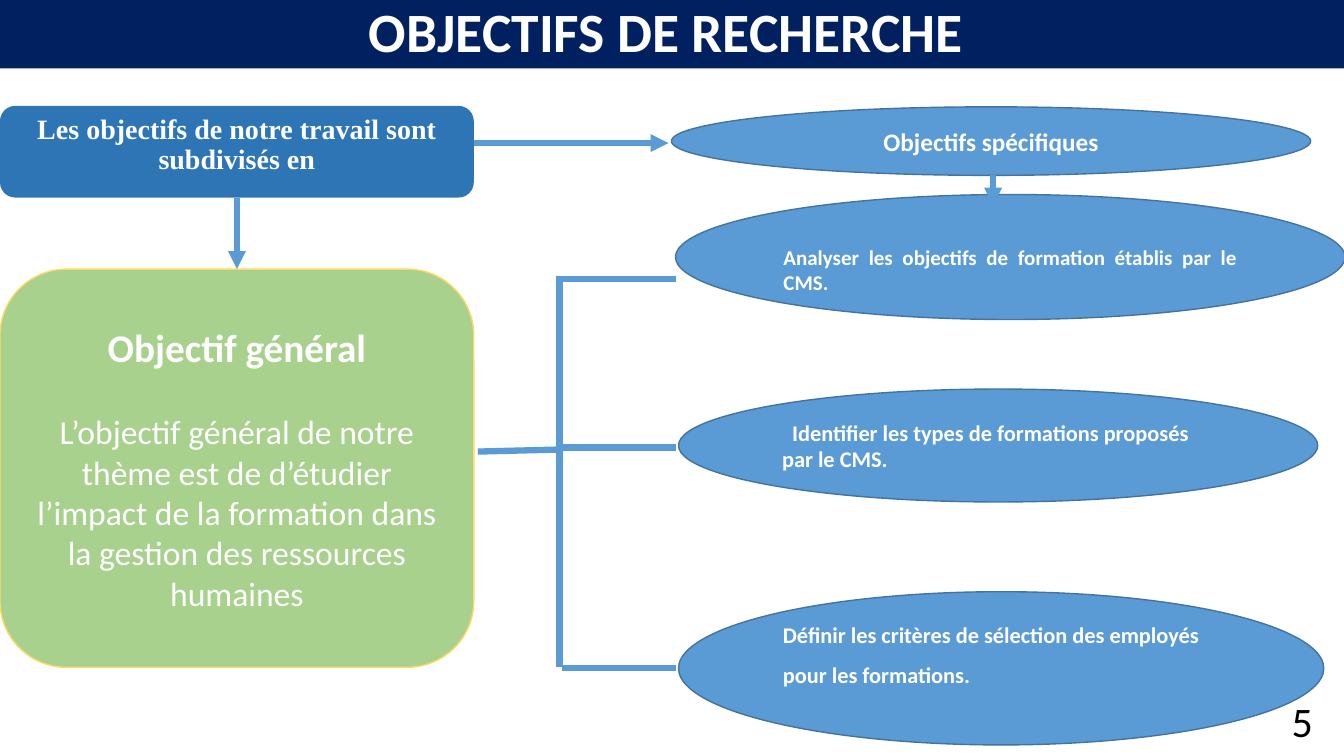
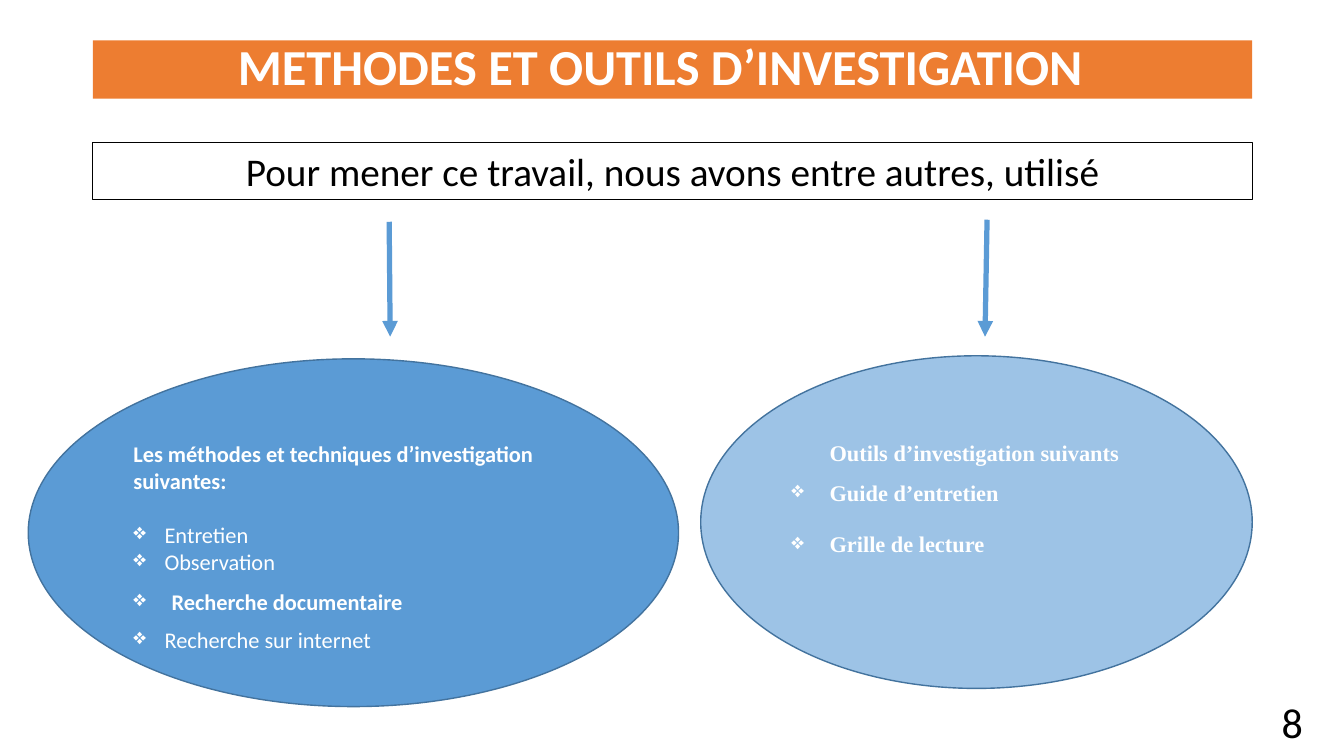
from dataclasses import dataclass

from lxml import etree
from pptx import Presentation
from pptx.dml.color import RGBColor
from pptx.enum.shapes import MSO_CONNECTOR as Connector, MSO_SHAPE as Preset
from pptx.enum.text import MSO_ANCHOR as Anchor, MSO_AUTO_SIZE as AutoSize, PP_ALIGN as Align
from pptx.oxml.ns import qn
from pptx.util import Emu, Pt

PX = 9144  # 100 px to the inch

# Palette
WHITE, BLACK = "FFFFFF", "000000"
NAVY, ORANGE = "002060", "ED7D31"
BLUE, DEEP_BLUE, LIGHT_BLUE, EDGE_BLUE = "5B9BD5", "2E75B6", "9DC3E6", "43739E"
GREEN, GOLD = "A9D18E", "FFD966"
SANS, SERIF = "Calibri", "Times New Roman"


def px(length):
    return Emu(length * PX)


def color(hex_code):
    return RGBColor.from_string(hex_code)


@dataclass
class Line:
    """One paragraph; left and first are indents in px, before and after are points."""
    text: str
    size: float = 16
    bold: bool = True
    font: str = SANS
    color: str = WHITE
    align: Align = Align.LEFT
    spacing: float = 1.0
    before: float = 0
    after: float = 0
    left: int = 0
    first: int = 0
    bullet: str = ""


def bulleted(text, left=31, **style):
    return Line(text, left=left, first=-left, bullet="❖", **style)


class Deck:
    def __init__(self):
        self.presentation = Presentation()
        self.presentation.slide_width = px(1333)
        self.presentation.slide_height = px(750)
        self.slide = None

    def new_slide(self, title, box, fill, size, right_inset):
        layout = self.presentation.slide_layouts[5]
        self.slide = self.presentation.slides.add_slide(layout)
        banner = self.slide.shapes.title
        banner.left, banner.top, banner.width, banner.height = map(px, box)
        banner.fill.solid()
        banner.fill.fore_color.rgb = color(fill)
        self.set_text(banner, [Line(title, size, align=Align.CENTER, spacing=0.9)],
                      right=right_inset)

    def set_text(self, shape, lines, anchor=Anchor.MIDDLE, top=5, bottom=5, right=10):
        frame = shape.text_frame
        frame.word_wrap = True
        frame.auto_size = AutoSize.NONE
        frame.vertical_anchor = anchor
        frame.margin_left, frame.margin_right = px(10), px(right)
        frame.margin_top, frame.margin_bottom = px(top), px(bottom)
        for index, line in enumerate(lines):
            paragraph = frame.add_paragraph() if index else frame.paragraphs[0]
            paragraph.text = line.text
            paragraph.alignment = line.align
            paragraph.line_spacing = line.spacing
            paragraph.space_before, paragraph.space_after = Pt(line.before), Pt(line.after)
            # Indents and bullet
            properties = paragraph._p.get_or_add_pPr()
            properties.set("marL", str(px(line.left)))
            properties.set("indent", str(px(line.first)))
            if line.bullet:
                etree.SubElement(properties, qn("a:buChar"), char=line.bullet)
            font = paragraph.font
            font.name, font.size, font.bold = line.font, Pt(line.size), line.bold
            font.color.rgb = color(line.color)

    def shape(self, preset, box, lines, fill=None, edge=None, edge_width=1, **layout):
        shape = self.slide.shapes.add_shape(preset, *map(px, box))
        shape.shadow.inherit = False
        if fill:
            shape.fill.solid()
            shape.fill.fore_color.rgb = color(fill)
        else:
            shape.fill.background()
        if edge:
            shape.line.color.rgb = color(edge)
            shape.line.width = Pt(edge_width)
        else:
            shape.line.fill.background()
        self.set_text(shape, lines, **layout)
        return shape

    def ellipse(self, box, lines, fill=BLUE, **layout):
        return self.shape(Preset.OVAL, box, lines, fill, EDGE_BLUE, **layout)

    def line(self, start, end, width=4.5, arrow=False):
        connector = self.slide.shapes.add_connector(
            Connector.STRAIGHT, *map(px, (*start, *end)))
        connector.line.color.rgb = color(BLUE)
        connector.line.width = Pt(width)
        properties = connector._element.spPr
        if arrow:
            etree.SubElement(properties.find(qn("a:ln")), qn("a:tailEnd"), type="triangle")
        etree.SubElement(properties, qn("a:effectLst"))
        return connector

    def page_number(self, number, left, top):
        box = self.slide.shapes.add_textbox(*map(px, (left, top, 225, 30)))
        self.set_text(box, [Line(str(number), 30, False, color=BLACK, align=Align.RIGHT)])


def objectives(deck):
    deck.new_slide("OBJECTIFS DE RECHERCHE", (0, 0, 1333, 68), NAVY, 39.6, 22)
    deck.page_number(5, 1087, 700)

    # General objective
    general = deck.shape(Preset.ROUNDED_RECTANGLE, (0, 267, 470, 395), [
        Line("Objectif général", 28, align=Align.CENTER, after=29),
        Line("L’objectif général de notre thème est de d’étudier l’impact de la formation "
             "dans la gestion des ressources humaines", 24, False, align=Align.CENTER),
    ], GREEN, GOLD)

    # Bracket to the specific objectives
    deck.line((474, 448), (554, 446))
    deck.line((555, 274), (555, 662))
    for y in (277, 444, 663):
        deck.line((557, y), (670, y))

    # Specific objectives
    deck.ellipse((670, 193, 664, 124), [
        Line("Analyser les objectifs de formation établis par le CMS.", 15,
             align=Align.JUSTIFY)], top=30)
    deck.ellipse((673, 386, 634, 112), [
        Line("Identifier les types de formations proposés par le CMS.", first=10)])
    deck.ellipse((673, 587, 640, 152), [
        Line("Définir les critères de sélection des employés pour les formations.",
             spacing=1.5)], bottom=46)
    deck.ellipse((666, 106, 634, 68), [
        Line("Objectifs spécifiques", 18, align=Align.CENTER)])

    # Introduction and its arrows
    introduction = deck.shape(Preset.ROUNDED_RECTANGLE, (0, 105, 470, 91), [
        Line("Les objectifs de notre travail sont subdivisés en", 20, font=SERIF,
             align=Align.CENTER, spacing=0.9)], DEEP_BLUE, anchor=Anchor.TOP)
    down = deck.line((235, 196), (235, 267), 4.25, arrow=True)
    down.begin_connect(introduction, 2)
    down.end_connect(general, 0)
    deck.line((470, 142), (663, 142), 4.25, arrow=True)
    deck.line((985, 174), (985, 204), 4.25, arrow=True)


def methods(deck):
    deck.new_slide("METHODES ET OUTILS D’INVESTIGATION", (92, 40, 1150, 58), ORANGE, 36, 34)
    deck.page_number(8, 1077, 701)

    # Tools
    tool_style = dict(left=38, font=SERIF, spacing=1.5, after=8)
    deck.ellipse((695, 353, 547, 330), [
        Line("Outils d’investigation suivants", font=SERIF, left=38),
        bulleted("Guide d’entretien", **tool_style),
        bulleted("Grille de lecture", **tool_style),
    ], LIGHT_BLUE, anchor=Anchor.TOP, top=34)

    # Methods
    deck.ellipse((28, 356, 645, 345), [
        Line("Les méthodes et techniques d’investigation suivantes:"),
        bulleted("Entretien", bold=False, before=19.5),
        bulleted("Observation", bold=False),
        bulleted("Recherche documentaire", left=38, spacing=1.5, after=8),
        bulleted("Recherche sur internet", bold=False),
    ], anchor=Anchor.TOP, top=30)

    # Introduction and its arrows
    deck.shape(Preset.RECTANGLE, (92, 141, 1150, 57), [
        Line("Pour mener ce travail, nous avons entre autres, utilisé", 28, False,
             color=BLACK, align=Align.CENTER)],
        edge=BLACK, edge_width=0.75, anchor=Anchor.TOP)
    deck.line((386, 220), (387, 334), 3.75, arrow=True)
    deck.line((979, 218), (977, 334), 3.75, arrow=True)


def main():
    deck = Deck()
    objectives(deck)
    methods(deck)
    deck.presentation.save("out.pptx")


if __name__ == "__main__":
    main()
